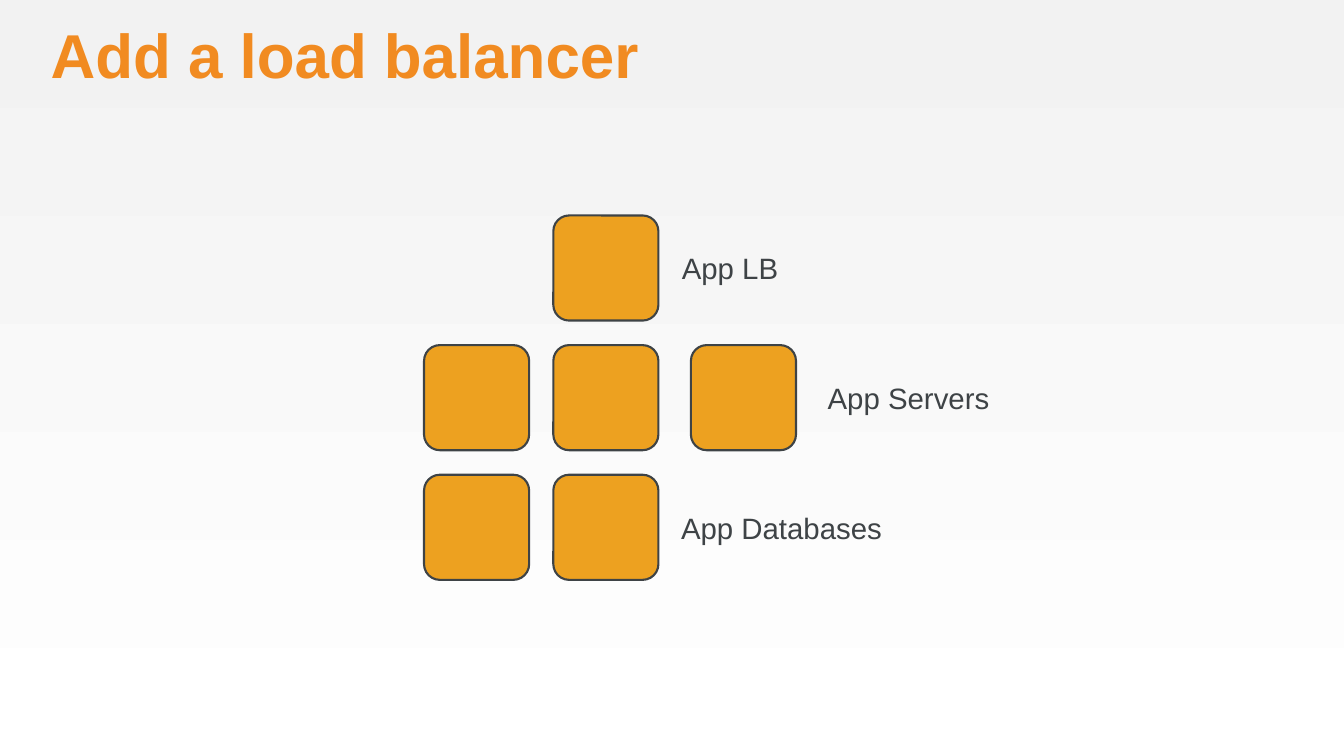
from dataclasses import dataclass

from pptx import Presentation
from pptx.dml.color import RGBColor
from pptx.enum.shapes import MSO_SHAPE
from pptx.enum.text import MSO_ANCHOR, MSO_AUTO_SIZE
from pptx.slide import Slide
from pptx.util import Emu, Pt

PX = 9144  # EMU per px, 100 px to the inch
NODE_SIZE = 139
TOP_TIER = 285
TIER_STEP = 171.5
LABEL_HEIGHT = 47

ORANGE = "F18B21"
AMBER = "EDA120"
SLATE = "3E4346"
BACKDROP = ("F2F2F2", "FFFFFF")

LABEL_FORMAT = {"name": "Arial", "size": Pt(28), "bold": False}
TITLE_FORMAT = {"name": "Arial", "size": Pt(59), "bold": True}


@dataclass(frozen=True)
class Tier:
    label: str
    label_left: int
    label_width: int
    node_lefts: tuple[int, ...]


TIERS = (
    Tier("App LB", 902, 131, (732,)),
    Tier("App Servers", 1095, 216, (561, 732, 914)),
    Tier("App Databases", 901, 269, (561, 732)),
)


def px(length: float) -> Emu:
    return Emu(round(length * PX))


def colour(hex_value: str) -> RGBColor:
    return RGBColor.from_string(hex_value)


def paint_background(slide: Slide) -> None:
    fill = slide.background.fill
    fill.gradient()
    fill.gradient_angle = 270  # top to bottom
    for stop, shade in zip(fill.gradient_stops, BACKDROP):
        stop.color.rgb = colour(shade)


def add_text(slide: Slide, text: str, box: tuple[float, ...], text_format: dict,
             text_colour: str, frame_format: dict, line_spacing: float = 1.0) -> None:
    frame = slide.shapes.add_textbox(*map(px, box)).text_frame
    margins = dict.fromkeys(
        ("margin_left", "margin_top", "margin_right", "margin_bottom"), 0)
    for name, value in {**margins, **frame_format}.items():
        setattr(frame, name, value)
    paragraph = frame.paragraphs[0]
    paragraph.line_spacing = line_spacing
    run = paragraph.add_run()
    run.text = text
    for name, value in text_format.items():
        setattr(run.font, name, value)
    run.font.color.rgb = colour(text_colour)


def add_node(slide: Slide, left: float, top: float) -> None:
    node = slide.shapes.add_shape(
        MSO_SHAPE.ROUNDED_RECTANGLE, px(left), px(top), px(NODE_SIZE), px(NODE_SIZE))
    node.shadow.inherit = False
    node.adjustments[0] = 0.15
    node.fill.solid()
    node.fill.fore_color.rgb = colour(AMBER)
    node.line.color.rgb = colour(SLATE)
    node.line.width = Pt(2)


def add_tier(slide: Slide, tier: Tier, top: float) -> None:
    for left in tier.node_lefts:
        add_node(slide, left, top)
    label_top = top + (NODE_SIZE - LABEL_HEIGHT) / 2
    add_text(slide, tier.label,
             (tier.label_left, label_top, tier.label_width, LABEL_HEIGHT),
             LABEL_FORMAT, SLATE,
             {"word_wrap": False, "vertical_anchor": MSO_ANCHOR.MIDDLE,
              "auto_size": MSO_AUTO_SIZE.SHAPE_TO_FIT_TEXT})


def main() -> None:
    deck = Presentation()
    deck.slide_width, deck.slide_height = px(1778), px(1000)
    slide = deck.slides.add_slide(deck.slide_layouts[6])
    paint_background(slide)

    # Tiers, from the load balancer down to the databases
    for row, tier in enumerate(TIERS):
        add_tier(slide, tier, TOP_TIER + row * TIER_STEP)

    # Title
    add_text(slide, "Add a load balancer", (67, 33, 1633, 91), TITLE_FORMAT, ORANGE,
             {"word_wrap": True, "vertical_anchor": MSO_ANCHOR.TOP}, line_spacing=0.9)

    deck.save("out.pptx")


if __name__ == "__main__":
    main()
